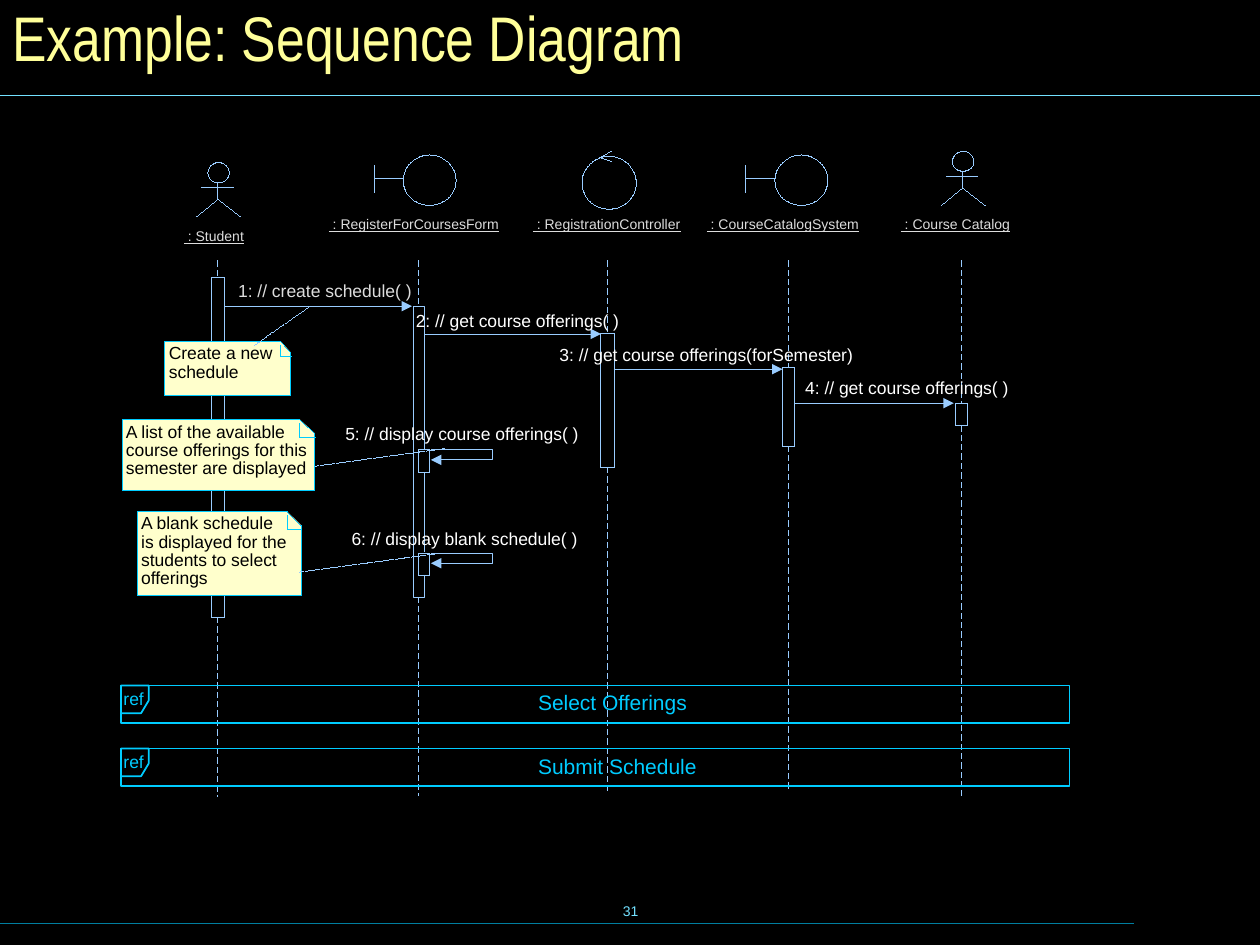
from dataclasses import dataclass
from pptx import Presentation
from pptx.dml.color import RGBColor as RGB
from pptx.enum.dml import MSO_LINE as Dash
from pptx.enum.shapes import MSO_CONNECTOR as Conn, MSO_SHAPE as Shape
from pptx.enum.text import MSO_ANCHOR as Anchor, MSO_AUTO_SIZE as Auto, PP_ALIGN as Align
from pptx.oxml import parse_xml
from pptx.oxml.ns import nsdecls
from pptx.util import Inches, Pt


@dataclass(frozen=True)
class Theme:
    back: str = "000000"
    title: str = "FFFF99"
    rule: str = "73E1FF"
    foot: str = "007E9F"
    line: str = "99CCFF"
    frame: str = "00CCFF"
    note: str = "FFFFCC"
    ink: str = "000000"
    name: str = "DDDDDD"
    call: str = "FFFFFF"
    font: str = "Arial"
    head: str = "Arial Narrow"
    big: float = 36
    mid: float = 12
    body: float = 10
    small: float = 8
    thin: float = 0.5
    pitch: float = 10.4


T = Theme()
SLACK = 0.06  # spare width that keeps a label on one line

# name, label left, label top, label width, figure, figure x, figure y
PARTS = [
    (" : Student", 1.46, 1.81, 0.48, "actor", 1.73, 1.29),
    (" : RegisterForCoursesForm", 2.61, 1.71, 1.35, "bound", 3.41, 1.23),
    (" : RegistrationController", 4.23, 1.71, 1.17, "control", 4.83, 1.24),
    (" : CourseCatalogSystem", 5.61, 1.71, 1.21, "bound", 6.36, 1.23),
    (" : Course Catalog", 7.15, 1.71, 0.87, "actor", 7.64, 1.2),
]
# x, bar top, bar bottom, line end, bar width
LIVES = [
    (1.73, 2.2, 4.9, 6.32, 0.11),
    (3.32, 2.43, 4.74, 6.31, 0),
    (4.82, 2.65, 3.71, 6.28, 0.11),
    (6.26, 2.92, 3.54, 6.27, 0.1),
    (7.63, 3.2, 3.38, 6.31, 0.09),
]
# text, text left, text top, text width, arrow start, arrow end, arrow y
CALLS = [
    ("1: // create schedule( )", 1.89, 2.22, 1.38, 1.78, 3.27, 2.43),
    ("2: // get course offerings( )", 3.3, 2.46, 1.62, 3.37, 4.77, 2.65),
    ("3: // get course offerings(forSemester)", 4.44, 2.73, 2.33, 4.87, 6.21, 2.93),
    ("4: // get course offerings( )", 6.39, 2.99, 1.62, 6.31, 7.57, 3.2),
]
# text, text left, text top, text width, loop y
LOOPS = [
    ("5: // display course offerings( )", 2.74, 3.36, 1.85, 3.57),
    ("6: // display blank schedule( )", 2.79, 4.19, 1.79, 4.39),
]
# text, left, top, width, height, fold width, fold height, link ends
NOTES = [
    ("Create a new\nschedule", 1.31, 2.71, 1, 0.43, 0.08, 0.09,
     (2.02, 2.74, 2.46, 2.43)),
    ("A list of the available\ncourse offerings for this\nsemester are displayed",
     0.97, 3.33, 1.53, 0.56, 0.12, 0.11, (2.5, 3.7, 3.53, 3.56)),
    ("A blank schedule\nis displayed for the\nstudents to select\nofferings",
     1.09, 4.06, 1.3, 0.67, 0.11, 0.11, (2.38, 4.54, 3.5, 4.39)),
]
REFS = [("Select Offerings", 5.44, 5.49, 1.19), ("Submit Schedule", 5.94, 6, 1.26)]


def text(page, words, x, y, w, h, size=T.body, color=T.call, font=T.font,
         under=None, pitch=None, align=None, anchor=Anchor.TOP, pad=False):
    wide = w if pad else w + SLACK
    frame = page.add_textbox(*map(Inches, (x, y, wide, h))).text_frame
    frame.word_wrap, frame.vertical_anchor = True, anchor
    if not pad:
        frame.margin_left = frame.margin_right = 0
        frame.margin_top = frame.margin_bottom = 0
        frame.auto_size = Auto.SHAPE_TO_FIT_TEXT
    frame.text = words
    for para in frame.paragraphs:
        para.alignment = align
        if pitch:
            para.line_spacing = Pt(pitch)
        for run in para.runs:
            face = run.font
            face.name, face.size, face.underline = font, Pt(size), under
            face.color.rgb = RGB.from_string(color)


def stroke(item, color, width, dash=None, arrow=False):
    """Style a line; width 0 is written out, as it means a hairline."""
    item.line.color.rgb = RGB.from_string(color)
    edge = item.line._get_or_add_ln()
    edge.set("w", str(int(Pt(width))))
    if dash:
        item.line.dash_style = dash
    if arrow:
        edge.append(parse_xml(f'<a:tailEnd {nsdecls("a")} type="triangle"/>'))


def line(page, x1, y1, x2, y2, color=T.line, width=0, **kind):
    item = page.add_connector(Conn.STRAIGHT, *map(Inches, (x1, y1, x2, y2)))
    stroke(item, color, width, **kind)
    item._element.spPr.append(parse_xml(f'<a:effectLst {nsdecls("a")}/>'))


def paint(item, fill):
    item.shadow.inherit = False
    if fill:
        item.fill.solid()
        item.fill.fore_color.rgb = RGB.from_string(fill)
    else:
        item.fill.background()


def shape(page, kind, x, y, w, h, color=T.line, width=0):
    item = page.add_shape(kind, *map(Inches, (x, y, w, h)))
    paint(item, None)
    stroke(item, color, width)


def path(page, dots, color=T.line, width=0, fill=None, close=False, arrow=False):
    first, *rest = [(Inches(x), Inches(y)) for x, y in dots]
    pen = page.build_freeform(*first, scale=1.0)
    pen.add_line_segments(rest, close=close)
    item = pen.convert_to_shape()
    paint(item, fill)
    stroke(item, color, width, arrow=arrow)


def actor(page, x, y):
    shape(page, Shape.OVAL, x - 0.08, y, 0.17, 0.16)
    line(page, x, y + 0.16, x, y + 0.29)
    line(page, x - 0.13, y + 0.2, x + 0.12, y + 0.2)
    path(page, [(x - 0.17, y + 0.43), (x, y + 0.29), (x + 0.18, y + 0.43)])


def bound(page, x, y):
    shape(page, Shape.OVAL, x - 0.21, y, 0.42, 0.4)
    line(page, x - 0.44, y + 0.08, x - 0.44, y + 0.3)
    line(page, x - 0.44, y + 0.19, x - 0.21, y + 0.19)


def control(page, x, y):
    shape(page, Shape.OVAL, x - 0.21, y, 0.43, 0.42)
    for tip in (-0.04, 0.04):
        line(page, x + 0.02, y + tip, x - 0.07, y + 0.01)


def life(page, x, top, bottom, end, width):
    line(page, x, 2.07, x, top, dash=Dash.DASH)
    line(page, x, bottom, x, end, dash=Dash.DASH)
    if width:
        shape(page, Shape.RECTANGLE, x - width / 2, top, width, bottom - top)


def form(page):
    """Draw the form's bar, left open where its two self calls begin."""
    path(page, [(3.37, 3.56), (3.37, 2.43), (3.28, 2.43), (3.28, 4.74),
                (3.37, 4.74), (3.37, 4.57)], width=T.thin)
    line(page, 3.37, 3.75, 3.37, 4.38, width=T.thin)


def loop(page, words, x, y, w, top):
    path(page, [(3.42, top), (3.91, top), (3.91, top + 0.08), (3.42, top + 0.08)],
         width=T.thin, arrow=True)
    shape(page, Shape.RECTANGLE, 3.32, top, 0.09, 0.18)
    text(page, words, x, y, w, 0.17)


def note(page, words, x, y, w, h, fw, fh, link):
    right, fold = x + w, x + w - fw
    path(page, [(x, y), (fold, y), (right, y + fh), (right, y + h), (x, y + h)],
         T.frame, fill=T.note, close=True)
    path(page, [(fold, y + 0.03), (fold, y + fh + 0.03), (right, y + fh + 0.03)], T.frame)
    rows = words.count("\n") + 1
    text(page, words, x + 0.03, y + 0.03, w - 0.05, rows * T.pitch / 72,
         color=T.ink, pitch=T.pitch)
    line(page, *link, dash=Dash.SQUARE_DOT)


def ref(page, words, y, level, w):
    x = 0.96
    shape(page, Shape.RECTANGLE, x, y, 7.53, 0.3, T.frame, 1)
    path(page, [(x, y + 0.22), (x, y), (x + 0.22, y), (x + 0.22, y + 0.12),
                (x + 0.16, y + 0.22)], T.frame, 1, close=True)
    text(page, words, 4.27, level, w, 0.18, size=T.mid, color=T.frame, pitch=13)
    text(page, "ref", 0.98, y + 0.01, 0.16, 0.18, color=T.frame, pitch=13)


def main():
    deck = Presentation()
    deck.slide_width, deck.slide_height = Inches(10), Inches(7.5)
    slide = deck.slides.add_slide(deck.slide_layouts[6])
    slide.background.fill.solid()
    slide.background.fill.fore_color.rgb = RGB.from_string(T.back)
    page = slide.shapes
    text(page, "31", 3.42, 6.98, 3.17, 0.5, size=T.small, color=T.rule,
         align=Align.CENTER, anchor=Anchor.MIDDLE, pad=True)
    line(page, 0, 7.33, 9, 7.33, T.foot, 0.75)
    line(page, 0, 0.76, 10, 0.76, T.rule, 0.75)
    text(page, "Example: Sequence Diagram", 0, 0, 9.84, 0.58, size=T.big, color=T.title,
         font=T.head, anchor=Anchor.MIDDLE, pad=True)
    draw = {"actor": actor, "bound": bound, "control": control}
    for name, x, y, w, kind, left, top in PARTS:
        draw[kind](page.add_group_shape().shapes, left, top)
        text(page, name, x, y, w, 0.13, size=T.small, color=T.name, under=True)
    for row in LIVES:
        life(page, *row)
    form(page)
    for row in LOOPS:
        loop(page, *row)
    for words, x, y, w, start, end, level in CALLS:
        line(page, start, level, end, level, arrow=True)
        text(page, words, x, y, w, 0.17, color=T.name if words[0] == "1" else T.call)
    for row in NOTES:
        note(page, *row)
    for row in REFS:
        ref(page, *row)
    deck.save("out.pptx")


if __name__ == "__main__":
    main()
